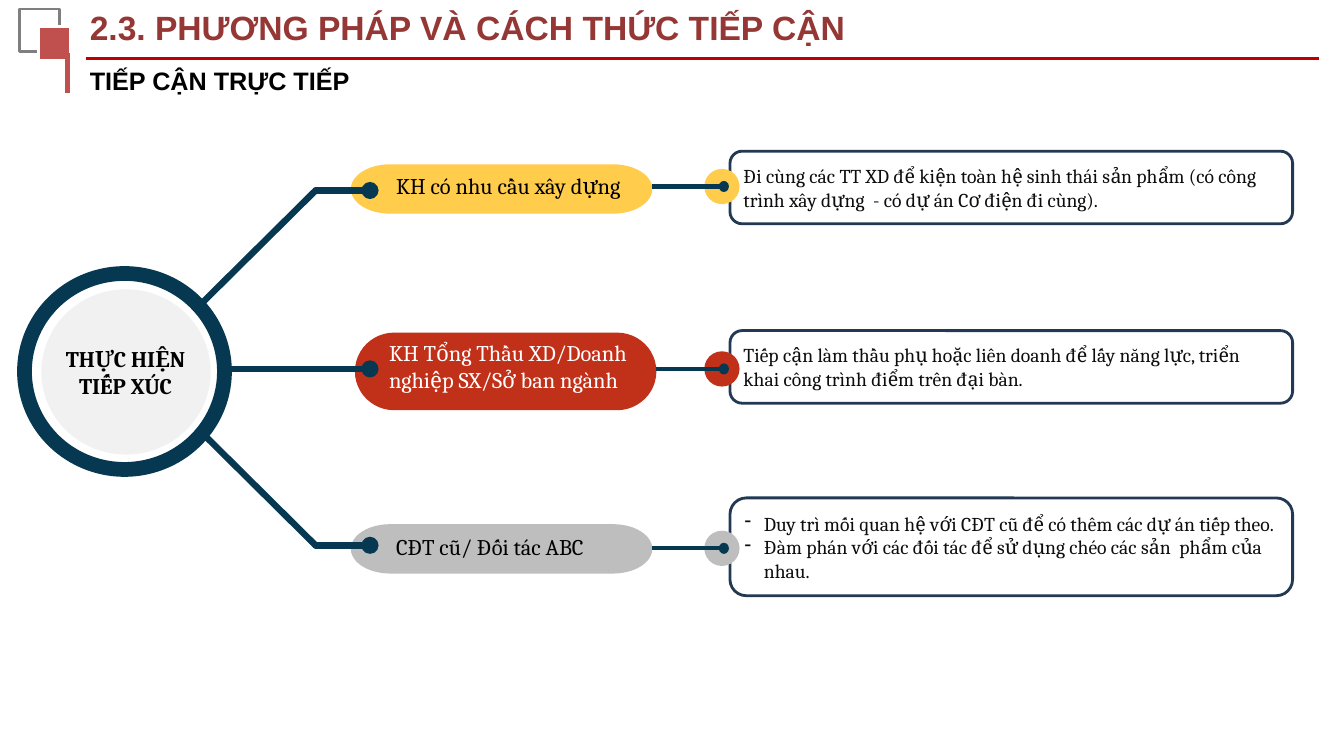
from dataclasses import dataclass
from itertools import pairwise
from math import cos, pi, sin

from lxml.etree import SubElement
from pptx import Presentation
from pptx.dml.color import RGBColor
from pptx.enum.shapes import MSO_CONNECTOR as Connector, MSO_SHAPE as Shape
from pptx.enum.text import MSO_ANCHOR as Anchor, MSO_AUTO_SIZE as AutoSize, PP_ALIGN as Align
from pptx.oxml.ns import qn
from pptx.util import Pt

PX = 9144  # 100 px to the inch
DASH_INDENT = 19


@dataclass(frozen=True)
class Theme:
    heading_font: str = "Arial"
    body_font: str = "Cambria"
    title_size: int = 24
    subtitle_size: int = 18
    label_size: int = 16
    card_size: int = 14
    title: str = "953735"
    rule: str = "C00000"
    accent: str = "C0504D"
    frame: str = "7F7F7F"
    navy: str = "063951"
    card_line: str = "233953"
    card_text: str = "0D0D0D"
    hub: str = "F1F1F2"
    yellow: str = "FFCC4C"
    red: str = "C13018"
    grey: str = "BEBEBE"
    black: str = "000000"
    white: str = "FFFFFF"


THEME = Theme()

TOPICS = [
    dict(color=THEME.yellow, pill=(348, 163, 299, 49), label_at=(383, 166, 262, 37),
         label="KH có nhu cầu xây dựng", label_color=THEME.black,
         branch=[(200, 301), (313, 189), (367, 189)], link_y=185, card=(150, 72),
         notes=["Đi cùng các TT XD để kiện toàn hệ sinh thái sản phẩm "
                "(có công trình xây dựng  - có dự án Cơ điện đi cùng)."]),
    dict(color=THEME.red, pill=(352, 330, 299, 77), label_at=(376, 332, 262, 64),
         label="KH Tổng Thầu XD/Doanh nghiệp SX/Sở ban ngành", label_color=THEME.white,
         branch=[(225, 366), (367, 366)], link_y=366, card=(328, 72),
         notes=["Tiếp cận làm thầu phụ hoặc liên doanh để lấy năng lực, "
                "triển khai công trình điểm trên đại bàn."]),
    dict(color=THEME.grey, pill=(348, 520, 299, 49), label_at=(383, 524, 262, 37),
         label="CĐT cũ/ Đối tác ABC", label_color=THEME.black,
         branch=[(203, 432), (313, 541), (367, 541)], link_y=544, card=(494, 97),
         notes=["Duy trì mối quan hệ với CĐT cũ để có thêm các dự án tiếp theo.",
                "Đàm phán với các đối tác để sử dụng chéo các sản  phẩm của nhau."]),
]


def emu(*lengths):
    return [round(length * PX) for length in lengths]


def paint(shape, fill=None, line=None, weight=2):
    shape.shadow.inherit = False
    if fill:
        shape.fill.solid()
        shape.fill.fore_color.rgb = RGBColor.from_string(fill)
    else:
        shape.fill.background()
    if line:
        shape.line.color.rgb = RGBColor.from_string(line)
        shape.line.width = Pt(weight)
    else:
        shape.line.fill.background()
    return shape


def add_preset(slide, preset, box, **style):
    return paint(slide.shapes.add_shape(preset, *emu(*box)), **style)


def add_dot(slide, center, width, height, fill):
    x, y = center
    add_preset(slide, Shape.OVAL, (x - width / 2, y - height / 2, width, height), fill=fill)


def add_line(slide, start, end, color, weight, cap="flat"):
    line = slide.shapes.add_connector(Connector.STRAIGHT, *emu(*start, *end))
    line.line.color.rgb = RGBColor.from_string(color)
    line.line.width = Pt(weight)
    line.line._get_or_add_ln().set("cap", cap)
    SubElement(line._element.spPr, qn("a:effectLst"))


def add_pill(slide, box, fill, cap_width=39, steps=24):
    """Bar whose ends are half ellipses, cap_width px wide at any height."""
    left, top, width, height = box
    outline = []
    for center_x, first_angle in ((left + width - cap_width, -pi / 2), (left + cap_width, pi / 2)):
        for step in range(steps + 1):
            angle = first_angle + pi * step / steps
            outline.append(emu(center_x + cap_width * cos(angle),
                               top + height / 2 * (1 + sin(angle))))
    builder = slide.shapes.build_freeform(*outline[0])
    builder.add_line_segments(outline[1:], close=True)
    paint(builder.convert_to_shape(), fill=fill)


def write(shape, texts, font, size, color, bold=False, align=Align.LEFT,
          anchor=Anchor.TOP, side=10, bullet=None):
    frame = shape.text_frame
    frame_format = dict(word_wrap=True, auto_size=AutoSize.NONE, vertical_anchor=anchor,
                        margin_left=side * PX, margin_right=side * PX,
                        margin_top=5 * PX, margin_bottom=5 * PX)
    for name, value in frame_format.items():
        setattr(frame, name, value)
    font_format = dict(name=font, size=Pt(size), bold=bold)
    for index, text in enumerate(texts):
        paragraph = frame.add_paragraph() if index else frame.paragraphs[0]
        paragraph.alignment = align
        paragraph.space_before = Pt(0)
        props = paragraph._p.get_or_add_pPr()
        indent = DASH_INDENT * PX if bullet else 0
        props.set("marL", str(indent))
        props.set("indent", str(-indent))
        if bullet:
            SubElement(props, qn("a:buChar"), char=bullet)
        else:
            SubElement(props, qn("a:buNone"))
        run = paragraph.add_run()
        run.text = text
        for name, value in font_format.items():
            setattr(run.font, name, value)
        run.font.color.rgb = RGBColor.from_string(color)


def add_label(slide, box, text, color, **style):
    label = slide.shapes.add_textbox(*emu(*box))
    write(label, [text], THEME.body_font, THEME.label_size, color, **style)


def fill_heading(placeholder, box, text, size, color):
    for name, value in zip(("left", "top", "width", "height"), emu(*box)):
        setattr(placeholder, name, value)
    write(placeholder, [text], THEME.heading_font, size, color, bold=True)


def add_header(slide):
    add_preset(slide, Shape.RECTANGLE, (19, 9, 40, 42), line=THEME.frame)
    add_preset(slide, Shape.RECTANGLE, (38, 26, 32, 34), fill=THEME.accent, line=THEME.white)
    add_line(slide, (85, 58), (1308, 58), THEME.rule, 1.5)
    add_line(slide, (67, 53), (67, 92), THEME.accent, 3)
    fill_heading(slide.shapes.title, (79, 2, 1075, 50),
                 "2.3. PHƯƠNG PHÁP VÀ CÁCH THỨC TIẾP CẬN", THEME.title_size, THEME.title)
    fill_heading(slide.placeholders[1], (79, 60, 608, 41),
                 "TIẾP CẬN TRỰC TIẾP", THEME.subtitle_size, THEME.black)


def add_hub(slide):
    ring = add_preset(slide, Shape.DONUT, (17, 264, 213, 209), fill=THEME.navy)
    ring.adjustments[0] = 0.07
    add_preset(slide, Shape.OVAL, (41, 287, 168, 164), fill=THEME.hub)
    add_label(slide, (45, 337, 159, 64), "THỰC HIỆN TIẾP XÚC", THEME.black,
              bold=True, align=Align.CENTER, anchor=Anchor.BOTTOM, side=0)


def add_topic(slide, topic):
    """One row: pill with its branch from the hub, then a link to the card."""
    pill, branch, link_y = topic["pill"], topic["branch"], topic["link_y"]
    add_pill(slide, pill, topic["color"])
    for start, end in pairwise(branch):
        add_line(slide, start, end, THEME.navy, 4.6, cap="rnd")
    add_dot(slide, branch[-1], 17, 17, THEME.navy)
    add_label(slide, topic["label_at"], topic["label"], topic["label_color"])

    top, height = topic["card"]
    card = add_preset(slide, Shape.ROUNDED_RECTANGLE, (724, top, 558, height),
                      fill=THEME.white, line=THEME.card_line)
    notes = topic["notes"]
    write(card, notes, THEME.body_font, THEME.card_size, THEME.card_text,
          anchor=Anchor.MIDDLE, bullet="-" if len(notes) > 1 else None)
    add_dot(slide, (716, link_y), 35, 35, topic["color"])
    add_line(slide, (pill[0] + pill[2], link_y), (716, link_y), THEME.navy, 3)
    add_dot(slide, (718, link_y), 10, 11, THEME.navy)


def main():
    deck = Presentation()
    deck.slide_width, deck.slide_height = emu(1333, 750)
    slide = deck.slides.add_slide(deck.slide_layouts[1])
    add_header(slide)
    add_hub(slide)
    for topic in TOPICS:
        add_topic(slide, topic)
    deck.save("out.pptx")


if __name__ == "__main__":
    main()
